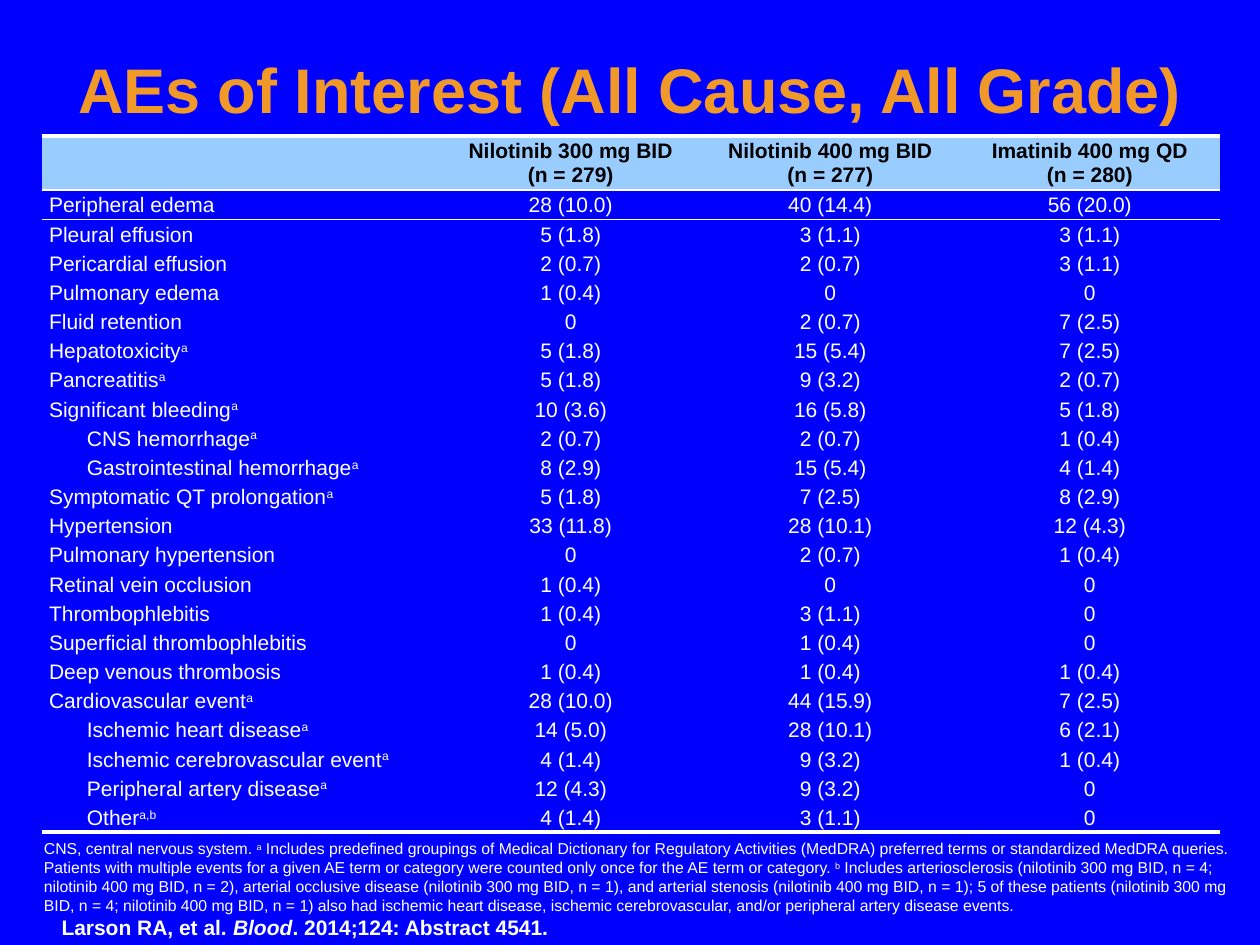
from lxml.etree import SubElement
from pptx import Presentation
from pptx.dml.color import RGBColor
from pptx.enum.text import MSO_ANCHOR, PP_ALIGN
from pptx.oxml.ns import qn
from pptx.util import Inches, Pt

COLORS = {"background": "0000FF", "title": "F09828", "header": "99CCFF",
          "dark": "000000", "light": "FFFFFF"}
FONT = "Arial"
NO_STYLE = "{2D5ABB26-0587-4C30-8999-92F81FD0307C}"

TITLE = "AEs of Interest (All Cause, All Grade)"
HEADERS = ["", "Nilotinib 300 mg BID\n(n = 279)", "Nilotinib 400 mg BID\n(n = 277)",
           "Imatinib 400 mg QD\n(n = 280)"]
EVENTS = [
    ("Peripheral edema", "28 (10.0)", "40 (14.4)", "56 (20.0)"),
    ("Pleural effusion", "5 (1.8)", "3 (1.1)", "3 (1.1)"),
    ("Pericardial effusion", "2 (0.7)", "2 (0.7)", "3 (1.1)"),
    ("Pulmonary edema", "1 (0.4)", "0", "0"),
    ("Fluid retention", "0", "2 (0.7)", "7 (2.5)"),
    ("Hepatotoxicity^a", "5 (1.8)", "15 (5.4)", "7 (2.5)"),
    ("Pancreatitis^a", "5 (1.8)", "9 (3.2)", "2 (0.7)"),
    ("Significant bleeding^a", "10 (3.6)", "16 (5.8)", "5 (1.8)"),
    ("CNS hemorrhage^a", "2 (0.7)", "2 (0.7)", "1 (0.4)"),
    ("Gastrointestinal hemorrhage^a", "8 (2.9)", "15 (5.4)", "4 (1.4)"),
    ("Symptomatic QT prolongation^a", "5 (1.8)", "7 (2.5)", "8 (2.9)"),
    ("Hypertension", "33 (11.8)", "28 (10.1)", "12 (4.3)"),
    ("Pulmonary hypertension", "0", "2 (0.7)", "1 (0.4)"),
    ("Retinal vein occlusion", "1 (0.4)", "0", "0"),
    ("Thrombophlebitis", "1 (0.4)", "3 (1.1)", "0"),
    ("Superficial thrombophlebitis", "0", "1 (0.4)", "0"),
    ("Deep venous thrombosis", "1 (0.4)", "1 (0.4)", "1 (0.4)"),
    ("Cardiovascular event^a", "28 (10.0)", "44 (15.9)", "7 (2.5)"),
    ("Ischemic heart disease^a", "14 (5.0)", "28 (10.1)", "6 (2.1)"),
    ("Ischemic cerebrovascular event^a", "4 (1.4)", "9 (3.2)", "1 (0.4)"),
    ("Peripheral artery disease^a", "12 (4.3)", "9 (3.2)", "0"),
    ("Other^a,b", "4 (1.4)", "3 (1.1)", "0"),
]
NESTED = {"CNS hemorrhage^a", "Gastrointestinal hemorrhage^a", "Ischemic heart disease^a",
          "Ischemic cerebrovascular event^a", "Peripheral artery disease^a", "Other^a,b"}
FOOTNOTE = (
    "CNS, central nervous system. ^a^ Includes predefined groupings of Medical Dictionary for "
    "Regulatory Activities (MedDRA) preferred terms or standardized MedDRA queries. Patients with "
    "multiple events for a given AE term or category were counted only once for the AE term or "
    "category. ^b^ Includes arteriosclerosis (nilotinib 300 mg BID, n = 4; nilotinib 400 mg BID, "
    "n = 2), arterial occlusive disease (nilotinib 300 mg BID, n = 1), and arterial stenosis "
    "(nilotinib 400 mg BID, n = 1); 5 of these patients (nilotinib 300 mg BID, n = 4; nilotinib "
    "400 mg BID, n = 1) also had ischemic heart disease, ischemic cerebrovascular, and/or "
    "peripheral artery disease events.")
CITATION = "Larson RA, et al. _Blood_. 2014;124: Abstract 4541."

TABLE_LEFT, TABLE_TOP = 0.33, 1.08
COLUMN_WIDTHS = [3.17, 2.06, 2.06, 2.06]
HEADER_HEIGHT, BODY_HEIGHT = 0.43, 5.1
INDENT, NESTED_INDENT = 0.06, 0.36


def write(frame, text, size=12, color="light", bold=False, align=PP_ALIGN.LEFT,
          spacing=None, indent=0):
    for number, line in enumerate(text.split("\n")):
        para = frame.paragraphs[0] if number == 0 else frame.add_paragraph()
        para.alignment = align
        if spacing:
            para.line_spacing = spacing
        if indent:
            para._p.get_or_add_pPr().set("marL", str(Inches(indent)))
        marker = "_" if "_" in line else "^"
        for position, part in enumerate(line.split(marker)):
            if not part:
                continue
            span = para.add_run()
            span.text = part
            span.font.name = FONT
            span.font.size = Pt(size)
            span.font.bold = bold
            span.font.color.rgb = RGBColor.from_string(COLORS[color])
            if position % 2 and marker == "_":
                span.font.italic = True
            elif position % 2:
                span._r.get_or_add_rPr().set("baseline", "30000")


def set_borders(cell, top=0, bottom=0):
    properties = cell._tc.get_or_add_tcPr()
    for tag, width in (("a:lnT", top), ("a:lnB", bottom)):
        if width:
            line = SubElement(properties, qn(tag), w=str(Pt(width)))
            fill = SubElement(line, qn("a:solidFill"))
            SubElement(fill, qn("a:srgbClr"), val=COLORS["light"])


def add_text_box(slide, left, top, width, height, text, **format):
    box = slide.shapes.add_textbox(Inches(left), Inches(top), Inches(width), Inches(height))
    box.text_frame.word_wrap = True
    write(box.text_frame, text, **format)


def add_event_table(slide):
    rows = [HEADERS] + EVENTS
    frame = slide.shapes.add_table(
        len(rows), len(HEADERS), Inches(TABLE_LEFT), Inches(TABLE_TOP),
        Inches(sum(COLUMN_WIDTHS)), Inches(HEADER_HEIGHT + BODY_HEIGHT))
    table = frame.table
    table.first_row = table.horz_banding = False
    table._tbl.tblPr.find(qn("a:tableStyleId")).text = NO_STYLE
    for column, width in zip(table.columns, COLUMN_WIDTHS):
        column.width = Inches(width)
    for r, values in enumerate(rows):
        header = r == 0
        table.rows[r].height = Inches(HEADER_HEIGHT if header else BODY_HEIGHT / len(EVENTS))
        for c, text in enumerate(values):
            cell = table.cell(r, c)
            cell.margin_left = cell.margin_right = cell.margin_top = cell.margin_bottom = 0
            set_borders(cell, top={0: 3, 1: 1}.get(r, 0),
                        bottom={0: 1, len(EVENTS): 3}.get(r, 0))
            align = PP_ALIGN.CENTER if c else PP_ALIGN.LEFT
            if header:
                cell.vertical_anchor = MSO_ANCHOR.MIDDLE
                cell.fill.solid()
                cell.fill.fore_color.rgb = RGBColor.from_string(COLORS["header"])
                write(cell.text_frame, text, color="dark", bold=True, align=align)
            else:
                cell.fill.background()
                indent = 0 if c else NESTED_INDENT if text in NESTED else INDENT
                write(cell.text_frame, text, align=align, spacing=1.15, indent=indent)


def main():
    deck = Presentation()
    deck.slide_width, deck.slide_height = Inches(10), Inches(7.5)
    page = deck.slides.add_slide(deck.slide_layouts[5])
    page.background.fill.solid()
    page.background.fill.fore_color.rgb = RGBColor.from_string(COLORS["background"])

    title = page.shapes.title
    title.left, title.top, title.width, title.height = map(Inches, (0, 0.36, 10, 0.78))
    title.text_frame.vertical_anchor = MSO_ANCHOR.MIDDLE
    write(title.text_frame, TITLE, size=36, color="title", bold=True,
          align=PP_ALIGN.CENTER, spacing=0.85)

    add_event_table(page)
    add_text_box(page, 0.25, 6.61, 9.65, 0.71, FOOTNOTE, size=9)
    add_text_box(page, 0.39, 7.21, 5.64, 0.3, CITATION, bold=True)
    deck.save("out.pptx")


if __name__ == "__main__":
    main()
